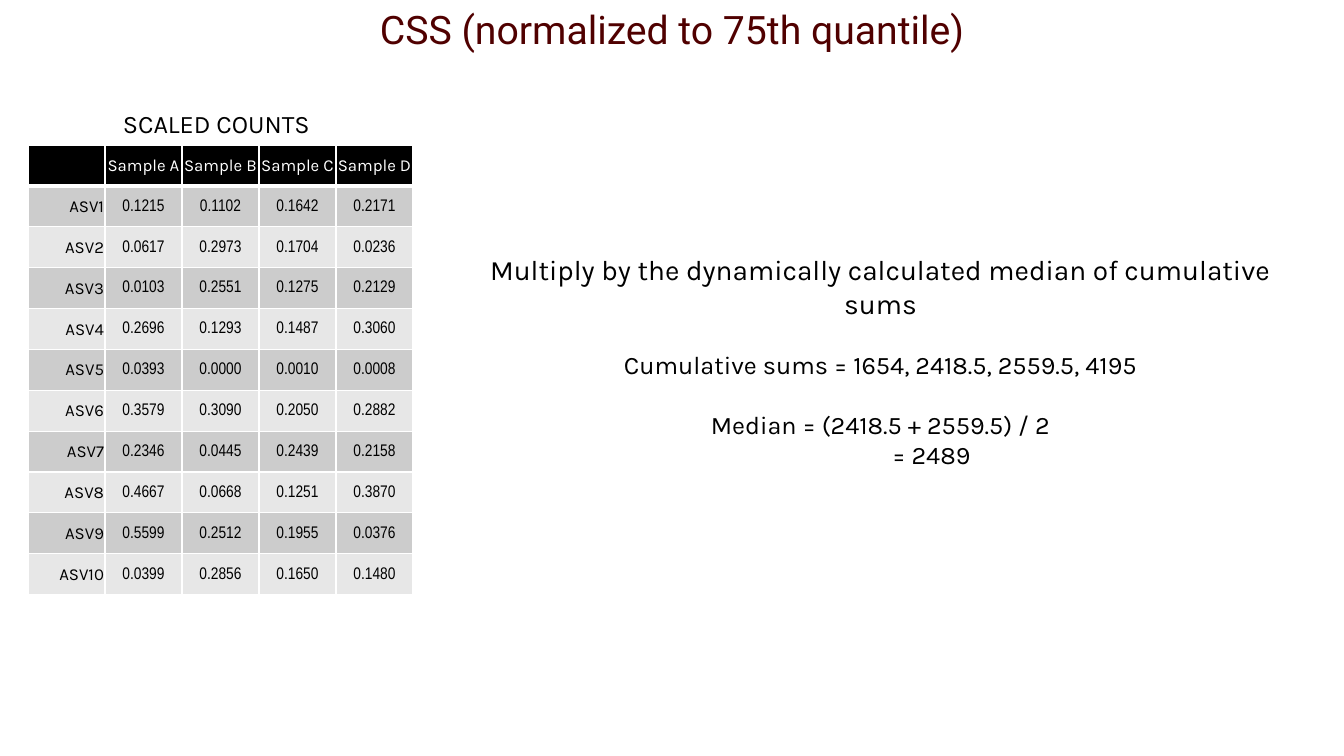
from lxml import etree
from pptx import Presentation
from pptx import util as u
from pptx.dml.color import RGBColor
from pptx.enum import text
from pptx.oxml import ns

PX = 12192000 / 1344
CENTER, LEFT, RIGHT = text.PP_ALIGN.CENTER, text.PP_ALIGN.LEFT, text.PP_ALIGN.RIGHT

SAMPLES = ["Sample A", "Sample B", "Sample C", "Sample D"]
SCALED_COUNTS = [
    ["0.1215", "0.1102", "0.1642", "0.2171"],
    ["0.0617", "0.2973", "0.1704", "0.0236"],
    ["0.0103", "0.2551", "0.1275", "0.2129"],
    ["0.2696", "0.1293", "0.1487", "0.3060"],
    ["0.0393", "0.0000", "0.0010", "0.0008"],
    ["0.3579", "0.3090", "0.2050", "0.2882"],
    ["0.2346", "0.0445", "0.2439", "0.2158"],
    ["0.4667", "0.0668", "0.1251", "0.3870"],
    ["0.5599", "0.2512", "0.1955", "0.0376"],
    ["0.0399", "0.2856", "0.1650", "0.1480"],
]


def px(length):
    return u.Emu(round(length * PX))


def color(value):
    return RGBColor.from_string(value)


class Page:
    heading, body, numbers = "Roboto", "Karla", "Arial Narrow"
    maroon, black, white = "500000", "000000", "FFFFFF"
    bands = ("CCCCCC", "E7E7E7")

    def __init__(self, deck):
        self.slide = deck.slides.add_slide(deck.slide_layouts[5])

    def style(self, para, size, font, ink, align):
        para.alignment = align
        for span in para.runs:
            span.font.size = u.Pt(size)
            span.font.name = font
            span.font.color.rgb = color(ink)

    def title(self, words, left, top, width, height):
        box = self.slide.shapes.title
        box.left, box.top, box.width, box.height = map(px, (left, top, width, height))
        frame = box.text_frame
        frame.text = words
        frame.vertical_anchor = text.MSO_ANCHOR.TOP
        self.style(frame.paragraphs[0], 28, self.heading, self.maroon, CENTER)

    def textbox(self, lines, left, top, width, height, align):
        """Each line is (words, size, space before in points, left indent in px)."""
        box = self.slide.shapes.add_textbox(*map(px, (left, top, width, height)))
        frame = box.text_frame
        frame.word_wrap = True
        frame.text = "\n".join(line[0] for line in lines)
        for para, (_, size, before, indent) in zip(frame.paragraphs, lines):
            self.style(para, size, self.body, self.black, align)
            para.space_before = u.Pt(before)
            if indent:
                para._p.get_or_add_pPr().set("marL", str(px(indent)))

    def border(self, cell, side, points):
        line = etree.SubElement(cell._tc.get_or_add_tcPr(), ns.qn("a:ln" + side),
                                w=str(u.Pt(points)))
        fill = etree.SubElement(line, ns.qn("a:solidFill"))
        etree.SubElement(fill, ns.qn("a:srgbClr"), val=self.white)

    def table(self, rows, left, top, width, height):
        frame = self.slide.shapes.add_table(
            len(rows), len(rows[0]), *map(px, (left, top, width, height)))
        for r, row in enumerate(rows):
            for c, words in enumerate(row):
                cell = frame.table.cell(r, c)
                cell.text = words
                cell.vertical_anchor = text.MSO_ANCHOR.MIDDLE
                cell.margin_left = cell.margin_right = cell.margin_top = px(1)
                cell.margin_bottom = 0
                # Thick rule under the header row
                for side in "LRTB":
                    thick = (r, side) in ((0, "B"), (1, "T"))
                    self.border(cell, side, 3 if thick else 1)
                cell.fill.solid()
                cell.fill.fore_color.rgb = color(self.bands[(r - 1) % 2] if r else self.black)
                self.style(cell.text_frame.paragraphs[0], 12,
                           self.numbers if r and c else self.body,
                           self.black if r else self.white,
                           CENTER if c else RIGHT)


def main():
    deck = Presentation()
    deck.slide_width, deck.slide_height = px(1344), px(756)
    page = Page(deck)

    # Title
    page.title("CSS (normalized to 75th quantile)", 0, 0, 1344, 57)

    # Scaled counts
    rows = [["", *SAMPLES]]
    rows += [[f"ASV{n}", *counts] for n, counts in enumerate(SCALED_COUNTS, 1)]
    page.table(rows, 28, 145, 385, 450)
    page.textbox([("SCALED COUNTS", 18, 0, 0)], 113, 103, 215, 40, LEFT)

    # Median calculation
    page.textbox([
        ("Multiply by the dynamically calculated median of cumulative sums", 20, 0, 0),
        ("Cumulative sums = 1654, 2418.5, 2559.5, 4195", 18, 21, 0),
        ("Median = (2418.5 + 2559.5) / 2", 18, 21, 0),
        ("= 2489", 18, 0, 102),
    ], 466, 248, 829, 197, CENTER)

    deck.save("out.pptx")


if __name__ == "__main__":
    main()
